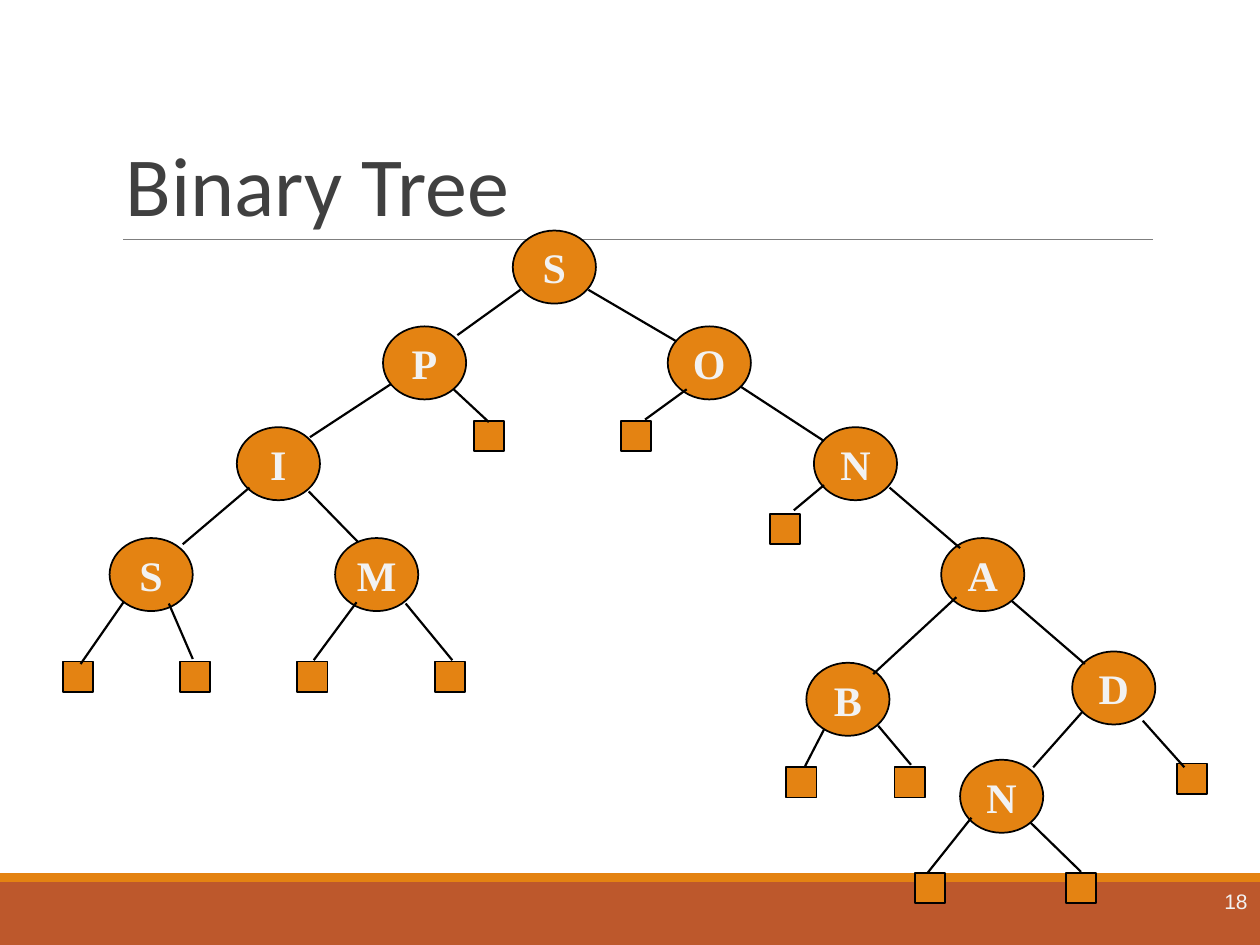
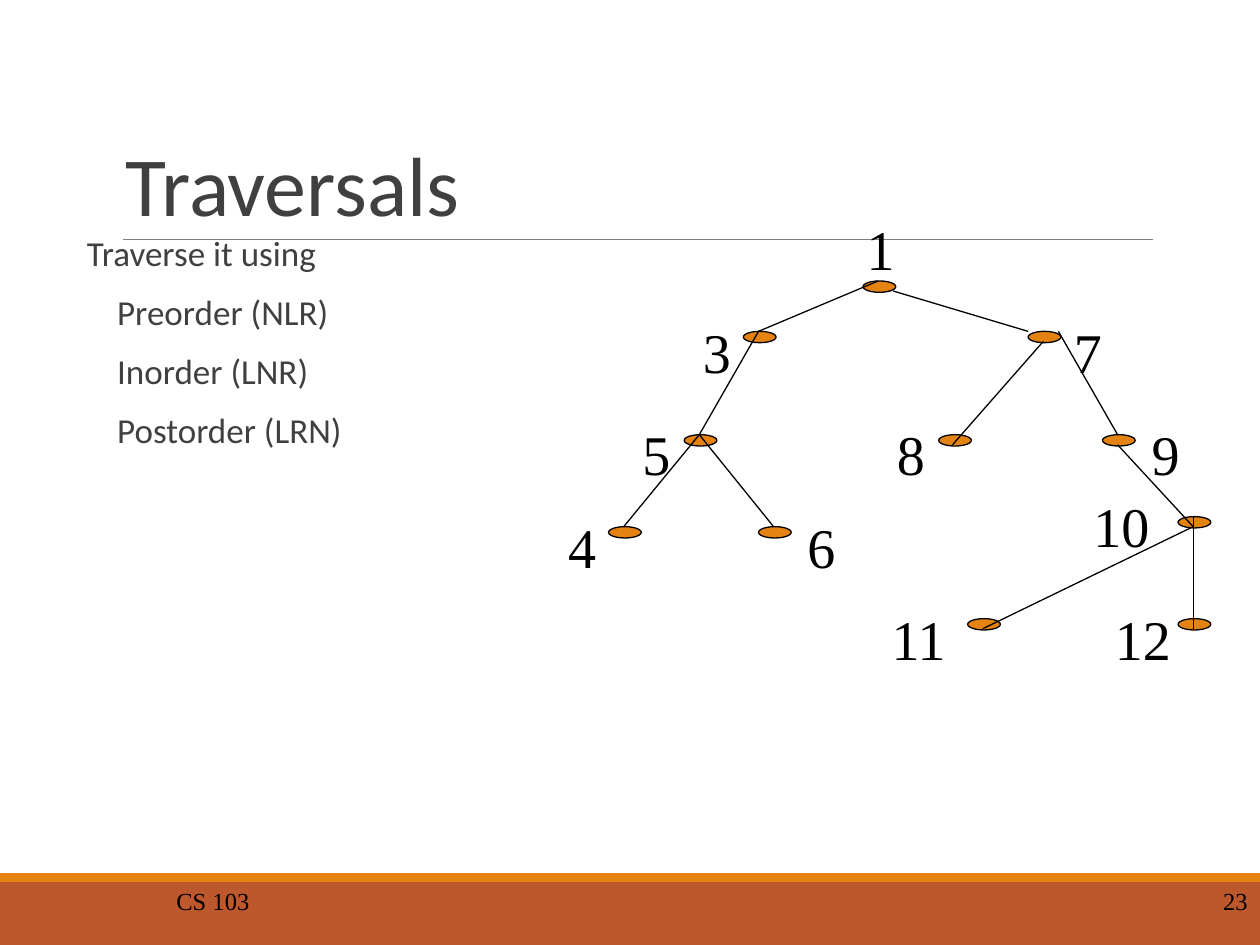
import dataclasses
import typing

import lxml.etree
import pptx
import pptx.dml.color
import pptx.enum.shapes
import pptx.enum.text
import pptx.oxml.ns
import pptx.slide
import pptx.util

EMU_PER_PX = 9144
ORANGE, RUST, BLACK = "E48312", "BD582C", "000000"
DARK_GREY, RULE_GREY, LIGHT = "404040", "7F7F7F", "F2F2F2"
HEADING_FONT, SERIF_FONT = "Calibri", "Times New Roman"
ALIGN = pptx.enum.text.PP_ALIGN
ANCHOR = pptx.enum.text.MSO_ANCHOR
SHAPE = pptx.enum.shapes.MSO_SHAPE


@dataclasses.dataclass(frozen=True)
class Box:
    left: int
    top: int
    width: int
    height: int


@dataclasses.dataclass(frozen=True)
class Node:
    letter: str
    left: int
    top: int


@dataclasses.dataclass(frozen=True)
class Dot:
    label: str
    left: int
    top: int
    label_dx: int
    label_dy: int = -16
    label_width: int = 42


class Edge(typing.NamedTuple):
    x1: int
    y1: int
    x2: int
    y2: int


LETTER_NODES = [
    Node("S", 407, 183), Node("P", 304, 259), Node("O", 530, 259),
    Node("I", 188, 339), Node("N", 646, 339), Node("S", 87, 427),
    Node("M", 266, 427), Node("A", 747, 427), Node("B", 640, 526),
    Node("D", 851, 517), Node("N", 762, 603),
]
LEAVES = [
    (50, 525), (143, 525), (236, 525), (345, 525), (376, 334), (493, 334),
    (611, 408), (624, 609), (710, 609), (726, 693), (846, 693), (934, 606),
]
LETTER_EDGES = [
    Edge(413, 230, 363, 266), Edge(310, 305, 246, 347), Edge(198, 387, 145, 432),
    Edge(98, 478, 64, 527), Edge(134, 479, 153, 523), Edge(283, 478, 249, 524),
    Edge(322, 479, 359, 524), Edge(360, 309, 388, 335), Edge(545, 309, 512, 333),
    Edge(467, 230, 537, 271), Edge(588, 307, 654, 350), Edge(706, 387, 762, 435),
    Edge(803, 477, 861, 527), Edge(759, 474, 693, 535), Edge(654, 385, 630, 405),
    Edge(654, 579, 639, 608), Edge(697, 576, 723, 607), Edge(771, 649, 736, 693),
    Edge(818, 653, 858, 692), Edge(907, 572, 940, 609), Edge(859, 565, 820, 609),
    Edge(245, 390, 284, 430),
]
NUMBER_DOTS = [
    Dot("1", 685, 223, -7, -58), Dot("3", 590, 263, -42),
    Dot("7", 816, 263, 24, label_width=47), Dot("5", 543, 345, -43, -17),
    Dot("8", 745, 345, -43, -17), Dot("9", 875, 345, 29, -17),
    Dot("4", 483, 418, -42), Dot("6", 602, 418, 29),
    Dot("10", 935, 410, -89, -25, 88), Dot("11", 768, 491, -83, label_width=88),
    Dot("12", 935, 491, -72, label_width=88),
]
NUMBER_EDGES = [
    Edge(697, 223, 602, 263), Edge(709, 231, 816, 263), Edge(602, 263, 555, 345),
    Edge(828, 271, 756, 353), Edge(840, 263, 887, 345), Edge(555, 345, 495, 418),
    Edge(555, 345, 614, 418), Edge(887, 353, 947, 418), Edge(947, 418, 780, 499),
    Edge(947, 410, 947, 499),
]
TITLE_BOX = Box(90, 31, 825, 159)
BODY_BOX = Box(69, 183, 326, 310)
FOOTER_BOX = Box(0, 695, 338, 40)
NUMBER_BOX = Box(775, 695, 225, 40)


def px(length: int) -> pptx.util.Emu:
    return pptx.util.Emu(length * EMU_PER_PX)


def color(value: str) -> pptx.dml.color.RGBColor:
    return pptx.dml.color.RGBColor.from_string(value)


def place(box: Box) -> list[pptx.util.Emu]:
    return [px(length) for length in dataclasses.astuple(box)]


def write(shape, text: str, *, size: int, font: str = SERIF_FONT, fill: str = BLACK,
          bold: bool = False, align=ALIGN.LEFT, anchor=ANCHOR.TOP, wrap: bool = True,
          side_inset: int = 10, line_spacing: float = 1.0, gap: int = 0,
          indent: int = 0) -> None:
    frame = shape.text_frame
    frame.word_wrap = wrap
    frame.vertical_anchor = anchor
    frame.margin_left = frame.margin_right = px(side_inset)
    frame.margin_top = frame.margin_bottom = px(5)
    frame.text = text
    for index, paragraph in enumerate(frame.paragraphs):
        if index:
            paragraph.space_before = pptx.util.Pt(gap)
            paragraph._p.get_or_add_pPr().set("marL", str(px(indent)))
        paragraph.alignment = align
        paragraph.line_spacing = line_spacing
        for run in paragraph.runs:
            run.font.name = font
            run.font.size = pptx.util.Pt(size)
            run.font.bold = bold
            run.font.color.rgb = color(fill)


def add_text(slide: pptx.slide.Slide, box: Box, text: str, **text_format) -> None:
    write(slide.shapes.add_textbox(*place(box)), text, **text_format)


def add_figure(slide: pptx.slide.Slide, kind, box: Box, fill: str = ORANGE,
               outline: float = 0):
    shape = slide.shapes.add_shape(kind, *place(box))
    shape.shadow.inherit = False
    shape.fill.solid()
    shape.fill.fore_color.rgb = color(fill)
    if outline:
        shape.line.color.rgb = color(BLACK)
        shape.line.width = pptx.util.Pt(outline)
    else:
        shape.line.fill.background()
    return shape


def add_line(slide: pptx.slide.Slide, edge: Edge, width: float,
             stroke: str = BLACK) -> None:
    connector = slide.shapes.add_connector(
        pptx.enum.shapes.MSO_CONNECTOR.STRAIGHT, *map(px, edge))
    connector.line.color.rgb = color(stroke)
    connector.line.width = pptx.util.Pt(width)
    lxml.etree.SubElement(connector._element.spPr, pptx.oxml.ns.qn("a:effectLst"))


def add_base_slide(presentation, title: str, number: str,
                   **number_format) -> pptx.slide.Slide:
    slide = presentation.slides.add_slide(presentation.slide_layouts[6])
    add_figure(slide, SHAPE.RECTANGLE, Box(0, 700, 1000, 50), RUST)
    add_figure(slide, SHAPE.RECTANGLE, Box(0, 693, 1000, 7))
    add_line(slide, Edge(98, 190, 915, 190), 0.5, RULE_GREY)
    add_text(slide, TITLE_BOX, title, size=48, font=HEADING_FONT, fill=DARK_GREY,
             anchor=ANCHOR.BOTTOM, line_spacing=0.85)
    add_text(slide, NUMBER_BOX, number, align=ALIGN.RIGHT, anchor=ANCHOR.MIDDLE,
             **number_format)
    return slide


def build_binary_tree(presentation) -> None:
    slide = add_base_slide(presentation, "Binary Tree", "18", size=12, font="Arial",
                           fill=LIGHT)
    for node in LETTER_NODES:
        ellipse = add_figure(slide, SHAPE.OVAL, Box(node.left, node.top, 66, 58),
                             outline=1)
        write(ellipse, node.letter, size=24, fill=LIGHT, bold=True,
              align=ALIGN.CENTER, anchor=ANCHOR.MIDDLE, wrap=False)
    for left, top in LEAVES:
        add_figure(slide, SHAPE.RECTANGLE, Box(left, top, 24, 24), outline=1)
    for edge in LETTER_EDGES:
        add_line(slide, edge, 1.25)


def build_traversals(presentation) -> None:
    slide = add_base_slide(presentation, "Traversals", "23", size=14)
    add_text(slide, BODY_BOX,
             "Traverse it using\nPreorder (NLR)\nInorder (LNR)\nPostorder (LRN)",
             size=20, font=HEADING_FONT, fill=DARK_GREY, side_inset=0,
             line_spacing=0.9, gap=12, indent=24)
    add_text(slide, FOOTER_BOX, "CS 103", size=14, align=ALIGN.CENTER,
             anchor=ANCHOR.MIDDLE)
    for dot in NUMBER_DOTS:
        add_figure(slide, SHAPE.OVAL, Box(dot.left, dot.top, 26, 9), outline=0.75)
        label_box = Box(dot.left + dot.label_dx, dot.top + dot.label_dy,
                        dot.label_width, 64)
        add_text(slide, label_box, dot.label, size=32, align=ALIGN.CENTER, wrap=False)
    for edge in NUMBER_EDGES:
        add_line(slide, edge, 0.75)


def main() -> None:
    presentation = pptx.Presentation()
    presentation.slide_width = px(1000)
    presentation.slide_height = px(750)
    build_binary_tree(presentation)
    build_traversals(presentation)
    presentation.save("out.pptx")


if __name__ == "__main__":
    main()
